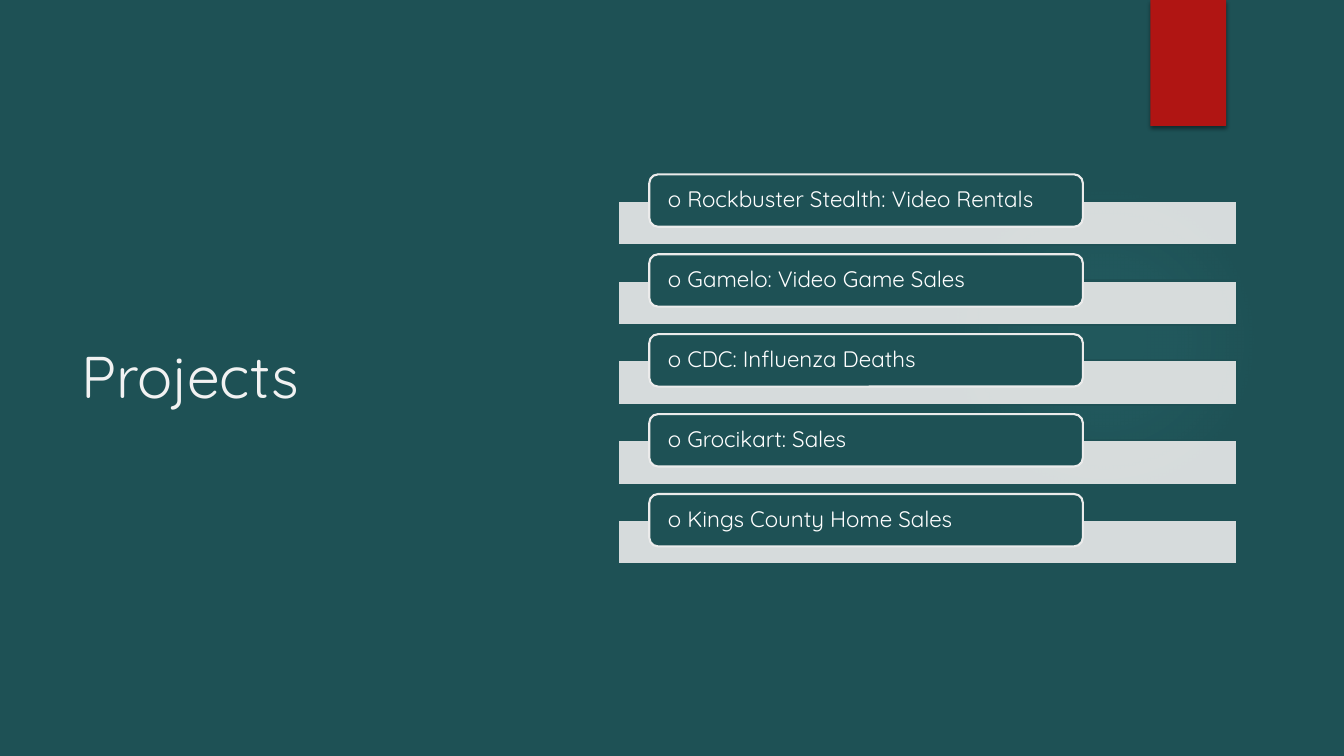
import pptx
import pptx.dml.color
import pptx.enum.shapes
import pptx.enum.text
import pptx.oxml
import pptx.oxml.ns
import pptx.util
from dataclasses import dataclass


@dataclass(frozen=True)
class Theme:
    back: str = "1E5155"
    pale: str = "EBEBEB"
    red: str = "B01513"
    glow: str = "50B9C1"
    head: str = "F2F2F2"
    text: str = "FFFFFF"
    font: str = "Quicksand"
    big: int = 42
    small: int = 16
    edge: float = 1.5


THEME = Theme()
KIND = pptx.enum.shapes.MSO_SHAPE
WIDE = pptx.util.Inches(13.33)
HIGH = pptx.util.Inches(7.5)
NAMES = (
    "Rockbuster Stealth: Video Rentals",
    "Gamelo: Video Game Sales",
    "CDC: Influenza Deaths",
    "Grocikart: Sales",
    "Kings County Home Sales",
)
PITCH = 10.57


def color(code):
    return pptx.dml.color.RGBColor.from_string(code)


def place(left, top, width, height):
    """Turn percentages of the slide into lengths."""
    return (int(WIDE * left / 100), int(HIGH * top / 100),
            int(WIDE * width / 100), int(HIGH * height / 100))


def parts(xml):
    """Read one DrawingML element whose root tag ends with {ns}."""
    return pptx.oxml.parse_xml(xml.format(ns=pptx.oxml.ns.nsdecls("a")))


def add_block(slide, kind, area, fill=None, line=None):
    shape = slide.shapes.add_shape(kind, *place(*area))
    shape.shadow.inherit = False
    if fill:
        shape.fill.solid()
        shape.fill.fore_color.rgb = color(fill)
    if line:
        shape.line.color.rgb = color(line)
        shape.line.width = pptx.util.Pt(THEME.edge)
    else:
        shape.line.fill.background()
    return shape


def write(shape, text, size, code, inset):
    frame = shape.text_frame
    frame.word_wrap = True
    frame.vertical_anchor = pptx.enum.text.MSO_ANCHOR.MIDDLE
    frame.margin_left = frame.margin_right = pptx.util.Inches(inset)
    frame.margin_top = frame.margin_bottom = 0
    para = frame.paragraphs[0]
    para.alignment = pptx.enum.text.PP_ALIGN.LEFT
    run = para.add_run()
    run.text = text
    run.font.name = THEME.font
    run.font.size = pptx.util.Pt(size)
    run.font.color.rgb = color(code)
    return para


def add_glow(slide):
    shape = add_block(slide, KIND.OVAL, (70.59, 24.4, 23.1, 41.07))
    stops = "".join(
        f'<a:gs pos="{spot * 1000}"><a:srgbClr val="{THEME.glow}">'
        f'<a:alpha val="{alpha * 1000}"/></a:srgbClr></a:gs>'
        for spot, alpha in ((0, 7), (36, 6), (69, 0)))
    fill = parts(
        "<a:gradFill {ns}><a:gsLst>" + stops + '</a:gsLst><a:path path="circle">'
        '<a:fillToRect l="50000" t="50000" r="50000" b="50000"/>'
        "</a:path></a:gradFill>")
    shape.element.spPr.insert(2, fill)


def add_ribbon(slide):
    shape = add_block(slide, KIND.RECTANGLE, (85.6, 0, 5.63, 16.67), THEME.red)
    shade = parts(
        '<a:outerShdw {ns} blurRad="38100" dist="25400" dir="5400000">'
        '<a:srgbClr val="000000"><a:alpha val="45000"/></a:srgbClr>'
        "</a:outerShdw>")
    shape.element.spPr.find(pptx.oxml.ns.qn("a:effectLst")).append(shade)


def add_title(slide):
    box = slide.shapes.add_textbox(*place(5.33, 15.47, 28.73, 68.13))
    write(box, "Projects", THEME.big, THEME.head, 0.1)


def add_item(slide, row, name):
    """Draw one project: a pale bar with a label box over it."""
    down = row * PITCH
    bar = add_block(slide, KIND.RECTANGLE, (45.99, 26.53 + down, 46.06, 5.87),
                    THEME.pale, THEME.back)
    tint = bar.element.spPr.find(
        f'{pptx.oxml.ns.qn("a:solidFill")}/{pptx.oxml.ns.qn("a:srgbClr")}')
    tint.append(parts('<a:alpha {ns} val="90000"/>'))
    label = add_block(slide, KIND.ROUNDED_RECTANGLE,
                      (48.31, 23.07 + down, 32.26, 6.93),
                      THEME.back, THEME.pale)
    para = write(label, f"o {name}", THEME.small, THEME.text, 0.16)
    para.line_spacing = 0.9


def main():
    deck = pptx.Presentation()
    deck.slide_width, deck.slide_height = WIDE, HIGH
    slide = deck.slides.add_slide(deck.slide_layouts[6])
    slide.background.fill.solid()
    slide.background.fill.fore_color.rgb = color(THEME.back)
    add_glow(slide)
    add_ribbon(slide)
    add_title(slide)
    for row, name in enumerate(NAMES):
        add_item(slide, row, name)
    deck.save("out.pptx")


if __name__ == "__main__":
    main()
